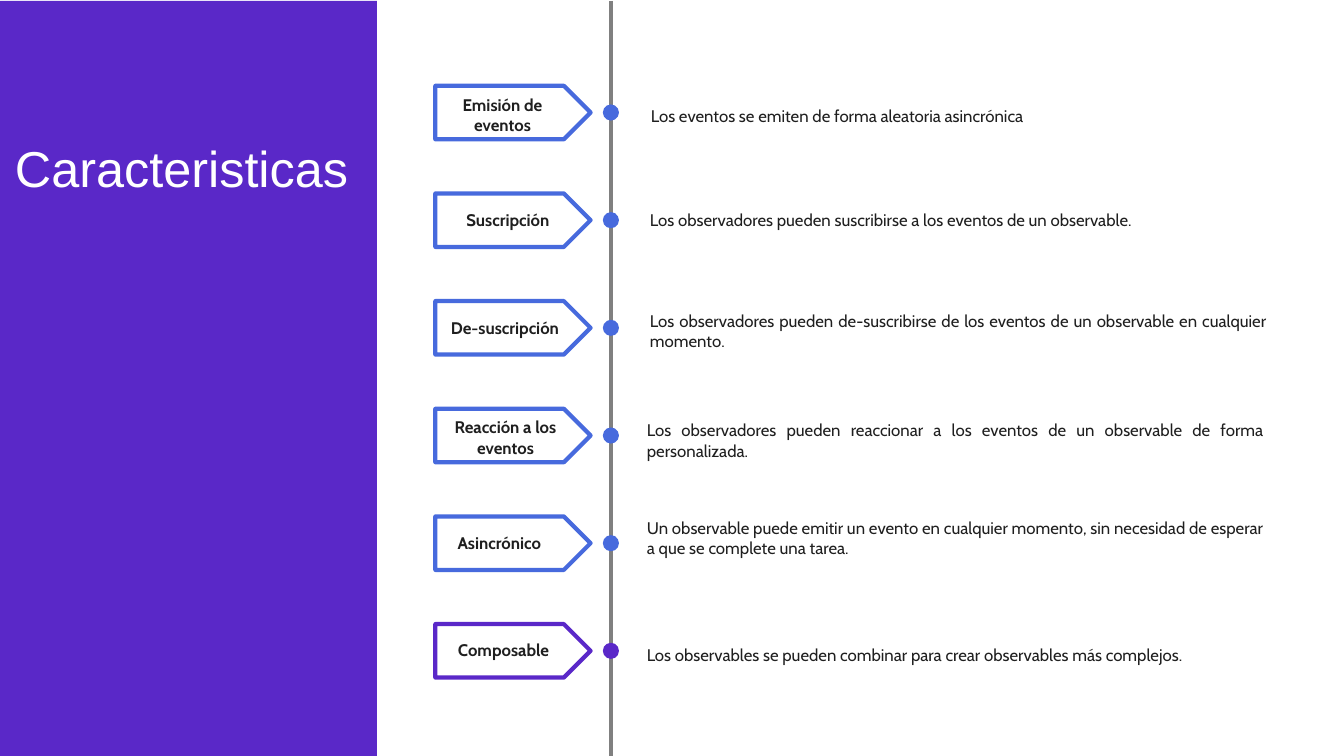
import pptx
import pptx.dml.color
import pptx.enum.shapes
import pptx.enum.text
import pptx.oxml
import pptx.util

Pt = pptx.util.Pt
RGBColor = pptx.dml.color.RGBColor
SHAPE = pptx.enum.shapes.MSO_SHAPE
ALIGN = pptx.enum.text.PP_ALIGN
ANCHOR = pptx.enum.text.MSO_ANCHOR

PURPLE = RGBColor(0x5A, 0x28, 0xC8)
BLUE = RGBColor(0x47, 0x6A, 0xDD)
GRAY = RGBColor(0x80, 0x80, 0x80)
INK = RGBColor(0x1F, 0x1F, 0x1F)
WHITE = RGBColor(0xFF, 0xFF, 0xFF)

SLIDE_WIDTH, SLIDE_HEIGHT = 960, 540
TIMELINE_X = 436.4
FIRST_CENTER, ROW_PITCH = 80.4, 76.9
TAG_LEFT, TAG_WIDTH, TAG_HEIGHT = 311, 110.9, 38.2
DOT_SIZE = 11.5
DETAIL_WIDTH = 455

# Label, its (left, top, width, height); detail, its (left, top, height); colour
FEATURES = [
    ("Emisión de eventos", (310.3, 64.1, 97.2, 58.3),
     "Los eventos se emiten de forma aleatoria asincrónica",
     (457.8, 72, 36), BLUE),
    ("Suscripción", (307.4, 146.2, 110.9, 21.8),
     "Los observadores pueden suscribirse a los eventos de un observable.",
     (457.2, 146.2, 21.8), BLUE),
    ("De-suscripción", (305.3, 223.2, 110.9, 21.8),
     "Los observadores pueden de-suscribirse de los eventos de un observable "
     "en cualquier momento.",
     (457.2, 218.2, 36), BLUE),
    ("Reacción a los eventos", (302.4, 294.5, 117.4, 36),
     "Los observadores pueden reaccionar a los eventos de un observable "
     "de forma personalizada.",
     (455, 296.6, 36), BLUE),
    ("Asincrónico", (298, 377.3, 117.4, 21.8),
     "Un observable puede emitir un evento en cualquier momento, "
     "sin necesidad de esperar a que se complete una tarea.",
     (455, 366.5, 36), BLUE),
    ("Composable", (301, 453.6, 117.4, 21.8),
     "Los observables se pueden combinar para crear observables más complejos.",
     (454.9, 457.2, 21.8), PURPLE),
]


def add_filled_shape(slide, kind, box, fill, outline=None):
    shape = slide.shapes.add_shape(kind, *(Pt(length) for length in box))
    shape.shadow.inherit = False
    shape.fill.solid()
    shape.fill.fore_color.rgb = fill
    if outline is None:
        shape.line.fill.background()
    else:
        shape.line.color.rgb = outline
        shape.line.width = Pt(3)


def add_text(slide, box, text, size=12, font="Cabin", color=INK, bold=False,
             align=ALIGN.LEFT, anchor=ANCHOR.TOP, line_spacing=None):
    frame = slide.shapes.add_textbox(*(Pt(length) for length in box)).text_frame
    frame.word_wrap = True
    frame.vertical_anchor = anchor
    paragraph = frame.paragraphs[0]
    paragraph.alignment = align
    paragraph.line_spacing = line_spacing
    run = paragraph.add_run()
    run.text = text
    run.font.name = font
    run.font.size = Pt(size)
    run.font.bold = bold
    run.font.color.rgb = color


def add_timeline(slide):
    timeline = slide.shapes.add_connector(
        pptx.enum.shapes.MSO_CONNECTOR.STRAIGHT,
        Pt(TIMELINE_X), Pt(0.7), Pt(TIMELINE_X), Pt(SLIDE_HEIGHT))
    timeline.line.color.rgb = GRAY
    timeline.line.width = Pt(3)
    properties = timeline._element.spPr
    properties.append(pptx.oxml.parse_xml(
        '<a:effectLst xmlns:a='
        '"http://schemas.openxmlformats.org/drawingml/2006/main"/>'))


def add_feature(slide, center, label, label_box, detail, detail_box, color):
    """Draw one row: its dot on the timeline, its tag and its description."""
    add_filled_shape(slide, SHAPE.OVAL,
                     (TIMELINE_X - DOT_SIZE / 2, center - DOT_SIZE / 2,
                      DOT_SIZE, DOT_SIZE), color)
    add_filled_shape(slide, SHAPE.PENTAGON,
                     (TAG_LEFT, center - TAG_HEIGHT / 2, TAG_WIDTH, TAG_HEIGHT),
                     WHITE, color)
    add_text(slide, label_box, label, bold=True, align=ALIGN.CENTER)
    left, top, height = detail_box
    add_text(slide, (left, top, DETAIL_WIDTH, height), detail,
             align=ALIGN.JUSTIFY)


def main():
    deck = pptx.Presentation()
    deck.slide_width, deck.slide_height = Pt(SLIDE_WIDTH), Pt(SLIDE_HEIGHT)
    slide = deck.slides.add_slide(deck.slide_layouts[6])

    add_filled_shape(slide, SHAPE.RECTANGLE, (-3.6, 0.7, 272.9, 540), PURPLE)
    add_text(slide, (3.6, 51.8, 272.9, 141.1), "Caracteristicas", size=36,
             font="Arial", color=WHITE, anchor=ANCHOR.MIDDLE, line_spacing=0.9)
    add_timeline(slide)
    for row, feature in enumerate(FEATURES):
        add_feature(slide, FIRST_CENTER + row * ROW_PITCH, *feature)

    deck.save("out.pptx")


if __name__ == "__main__":
    main()
